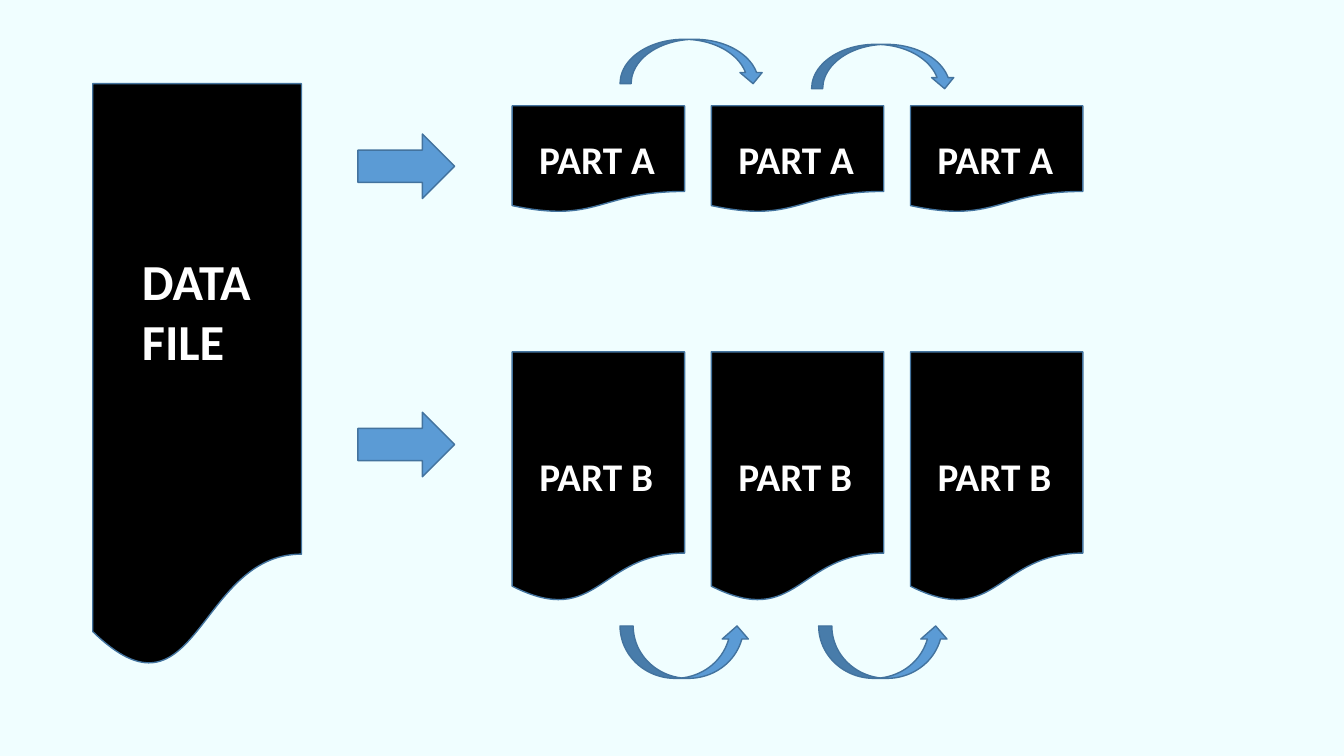
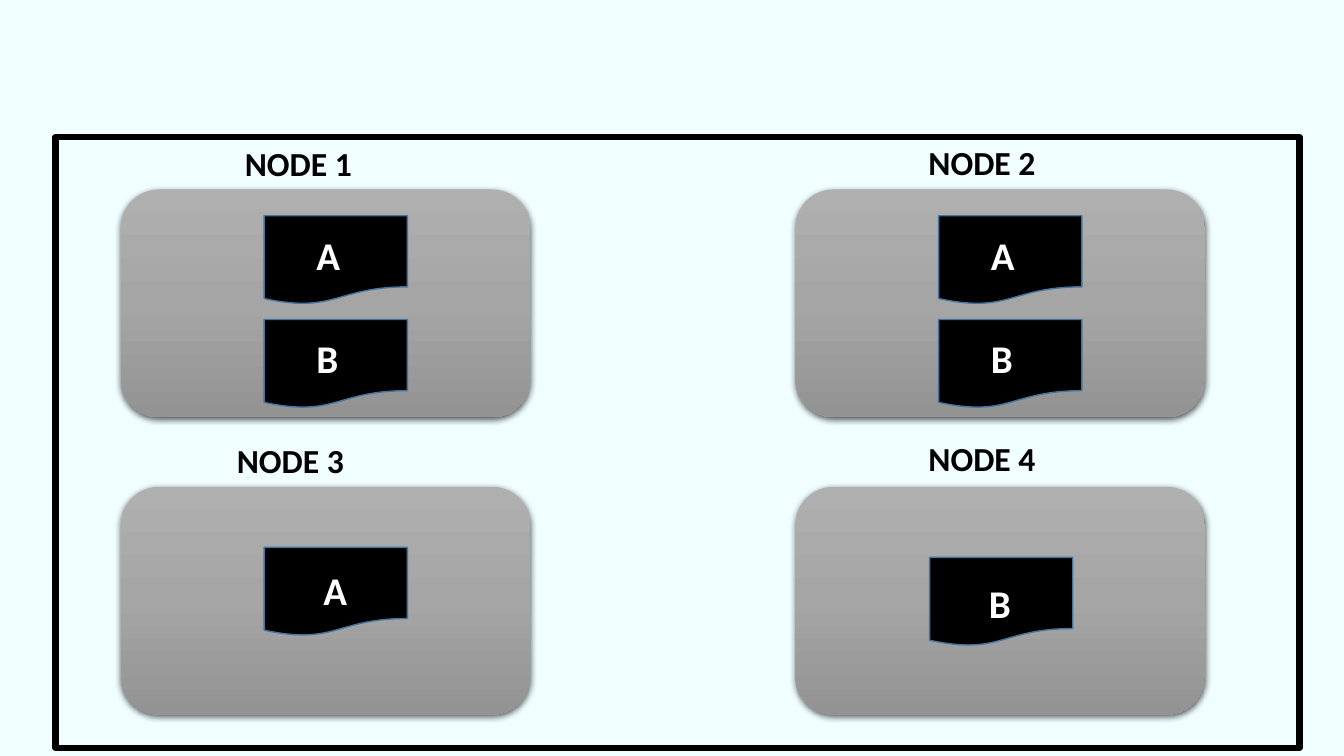
from copy import deepcopy

from lxml import etree
from pptx import Presentation
from pptx.dml.color import RGBColor
from pptx.enum.shapes import MSO_SHAPE as SHAPE
from pptx.enum.text import MSO_AUTO_SIZE
from pptx.oxml.ns import qn
from pptx.util import Inches, Pt

COLORS = {
    "background": "F0FEFF",
    "black": "000000",
    "white": "FFFFFF",
    "arrow": "5B9BD5",
    "outline": "43739E",
    "node_top": "AFAFAF",
    "node_middle": "A5A5A5",
    "node_bottom": "939393",
}
RGB = {name: RGBColor.from_string(value) for name, value in COLORS.items()}


def add_box(slide, kind, left, top, width, height, fill=None, line=None, weight=1):
    """Add a shadowless shape; without fill or line that part is left empty."""
    box = slide.shapes.add_shape(
        kind, Inches(left), Inches(top), Inches(width), Inches(height))
    box.shadow.inherit = False
    if fill:
        box.fill.solid()
        box.fill.fore_color.rgb = RGB[fill]
    else:
        box.fill.background()
    if line:
        box.line.color.rgb = RGB[line]
        box.line.width = Pt(weight)
    else:
        box.line.fill.background()
    return box


def add_label(slide, text, left, top, width, height, size=28, color="white"):
    label = slide.shapes.add_textbox(
        Inches(left), Inches(top), Inches(width), Inches(height))
    frame = label.text_frame
    frame.word_wrap = True
    frame.auto_size = MSO_AUTO_SIZE.SHAPE_TO_FIT_TEXT
    frame.text = text
    for para in frame.paragraphs:
        para.font.name = "Calibri"
        for span in para.runs:
            span.font.name = "Calibri"
            span.font.size = Pt(size)
            span.font.bold = True
            span.font.color.rgb = RGB[color]


deck = Presentation()
deck.slide_width = Inches(13.33)
deck.slide_height = Inches(7.5)
backdrop = deck.slide_master.background.fill
backdrop.solid()
backdrop.fore_color.rgb = RGB["background"]
blank = deck.slide_layouts[6]

# Slide 1: a data file split into replicated parts
slide = deck.slides.add_slide(blank)
add_box(slide, SHAPE.FLOWCHART_DOCUMENT, 0.92, 0.83, 2.07, 5.82, "black", "outline")
add_label(slide, "DATA\nFILE", 1.31, 2.43, 1.57, 1.31, size=36)

# text, document top and height, label top and width
parts = [
    ("PART A", 1.05, 1.06, 1.29, 1.36),
    ("PART B", 3.49, 2.49, 4.44, 1.81),
]
for text, top, height, label_top, label_width in parts:
    for column in range(3):
        left = 5.08 + column * 1.975
        add_box(slide, SHAPE.FLOWCHART_DOCUMENT, left, top, 1.71, height,
                "black", "outline")
        add_label(slide, text, left + 0.17, label_top, label_width, 0.57)

arrows = [
    (SHAPE.RIGHT_ARROW, 3.55, 1.33, 0.96, 0.64),
    (SHAPE.RIGHT_ARROW, 3.55, 4.09, 0.96, 0.64),
    (SHAPE.CURVED_DOWN_ARROW, 6.15, 0.39, 1.43, 0.44),
    (SHAPE.CURVED_DOWN_ARROW, 8.05, 0.44, 1.43, 0.44),
    (SHAPE.CURVED_UP_ARROW, 6.15, 6.21, 1.29, 0.52),
    (SHAPE.CURVED_UP_ARROW, 8.12, 6.21, 1.29, 0.52),
]
for kind, *place in arrows:
    add_box(slide, kind, *place, "arrow", "outline")

# Slide 2: the parts spread over four nodes
slide = deck.slides.add_slide(blank)
add_box(slide, SHAPE.RECTANGLE, 0.55, 1.36, 12.34, 6.06, line="black", weight=4.5)

# name, node place, name place, documents as (text, left, top, label left, label top)
nodes = [
    ("NODE 1", 1.2, 1.88, 2.33, 1.37,
     [("A", 2.62, 2.14, 3.04, 2.25), ("B", 2.62, 3.17, 3.04, 3.27)]),
    ("NODE 2", 7.89, 1.88, 9.11, 1.36,
     [("A", 9.31, 2.14, 9.73, 2.25), ("B", 9.31, 3.17, 9.73, 3.27)]),
    ("NODE 3", 1.2, 4.83, 2.25, 4.32, [("A", 2.62, 5.43, 3.11, 5.57)]),
    ("NODE 4", 7.89, 4.83, 9.11, 4.3, [("B", 9.22, 5.53, 9.71, 5.7)]),
]
for name, left, top, name_left, name_top, documents in nodes:
    node = add_box(slide, SHAPE.ROUNDED_RECTANGLE, left, top, 4.06, 2.26)
    node.fill.gradient()
    node.fill.gradient_angle = 270
    stop_list = node._element.spPr.find(qn("a:gradFill")).find(qn("a:gsLst"))
    stop_list.insert(1, deepcopy(stop_list[0]))
    shades = ("node_top", "node_middle", "node_bottom")
    for index, (stop, shade) in enumerate(zip(node.fill.gradient_stops, shades)):
        stop.position = index / 2
        stop.color.rgb = RGB[shade]

    effects = node._element.spPr.find(qn("a:effectLst"))
    shadow = etree.SubElement(
        effects, qn("a:outerShdw"), blurRad=str(Pt(4.5)), dist=str(Pt(1.5)),
        dir="5400000", algn="ctr", rotWithShape="0")
    shadow_color = etree.SubElement(shadow, qn("a:srgbClr"), val=COLORS["black"])
    etree.SubElement(shadow_color, qn("a:alpha"), val="63000")

    add_label(slide, name, name_left, name_top, 3.31, 0.5, size=24, color="black")
    for text, doc_left, doc_top, label_left, label_top in documents:
        add_box(slide, SHAPE.FLOWCHART_DOCUMENT, doc_left, doc_top, 1.42, 0.88,
                "black", "outline")
        add_label(slide, text, label_left, label_top, 0.91, 0.57)

deck.save("out.pptx")
